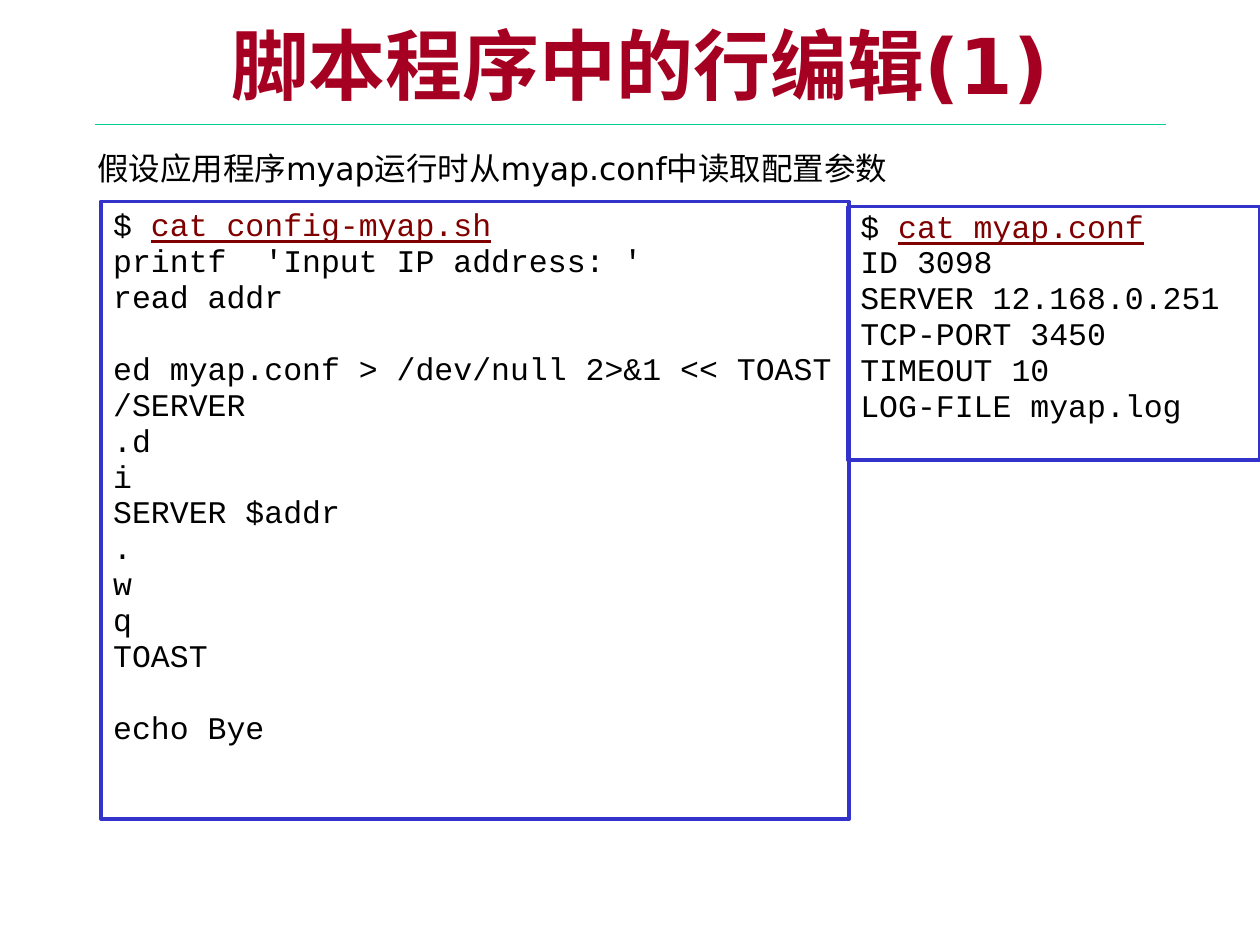
from lxml.etree import SubElement
from pptx import Presentation
from pptx.dml.color import RGBColor
from pptx.enum.shapes import MSO_CONNECTOR as CONN, MSO_SHAPE as SHAPE
from pptx.enum.text import MSO_ANCHOR as ANCHOR, PP_ALIGN as ALIGN
from pptx.oxml.ns import qn
from pptx.util import Inches, Pt

CJK = "Noto Sans CJK SC"
CODE = {"name": "Courier New", "size": Pt(18)}
BODY = {"name": "DejaVu Sans", "size": Pt(18)}
TITLE = {"name": "DejaVu Sans", "size": Pt(44), "bold": True}
BLANK_LINE = Pt(20.6)

SCRIPT_GROUPS = [
    ["printf  'Input IP address: '", "read addr"],
    ["ed myap.conf > /dev/null 2>&1 << TOAST", "/SERVER", ".d", "i",
     "SERVER $addr", ".", "w", "q", "TOAST"],
    ["echo Bye"],
]
CONF_GROUPS = [
    ["ID 3098", "SERVER 12.168.0.251", "TCP-PORT 3450", "TIMEOUT 10",
     "LOG-FILE myap.log"],
]


def paint(color, value):
    color.rgb = RGBColor.from_string(value)


def add_run(p, text, fmt, color="000000"):
    r = p.add_run()
    r.text = text
    for key, value in fmt.items():
        setattr(r.font, key, value)
    paint(r.font.color, color)
    SubElement(r._r.get_or_add_rPr(), qn("a:ea")).set("typeface", CJK)


def format_paragraph(p, hang=0, **fmt):
    for key, value in fmt.items():
        setattr(p, key, value)
    if hang:
        pPr = p._p.get_or_add_pPr()
        pPr.set("marL", str(Inches(hang)))
        pPr.set("indent", str(-Inches(hang)))


def frame_of(sp, anchor=ANCHOR.TOP, x_inset=0.1, y_inset=0.05):
    tf = sp.text_frame
    insets = {"margin_left": x_inset, "margin_right": x_inset,
              "margin_top": y_inset, "margin_bottom": y_inset}
    for key, value in insets.items():
        setattr(tf, key, Inches(value))
    tf.word_wrap = True
    tf.vertical_anchor = anchor
    return tf


def add_title(slide, box, text):
    tf = frame_of(slide.shapes.add_textbox(*map(Inches, box)), ANCHOR.MIDDLE)
    p = tf.paragraphs[0]
    format_paragraph(p, alignment=ALIGN.CENTER, line_spacing=0.85)
    add_run(p, text, TITLE, "A50021")


def add_rule(slide, left, right, y):
    line = slide.shapes.add_connector(
        CONN.STRAIGHT, *map(Inches, (left, y, right, y)))
    paint(line.line.color, "00CC99")
    line.line.width = Pt(0.75)
    SubElement(line._element.spPr, qn("a:effectLst"))


def add_intro(slide, box, parts):
    tf = frame_of(slide.shapes.add_textbox(*map(Inches, box)),
                  x_inset=0.07, y_inset=0.04)
    p = tf.paragraphs[0]
    format_paragraph(p, 0.38, line_spacing=0.85, space_before=Pt(3.6))
    for text, font in parts:
        add_run(p, text, {**BODY, "name": font})


def add_listing(slide, box, command, groups, first_spacing=0.95):
    sp = slide.shapes.add_shape(SHAPE.RECTANGLE, *map(Inches, box))
    sp.shadow.inherit = False
    sp.fill.background()
    paint(sp.line.color, "3333CC")
    sp.line.width = Pt(2)
    tf = frame_of(sp)
    p = tf.paragraphs[0]
    format_paragraph(p, 0.28, alignment=ALIGN.LEFT, line_spacing=first_spacing)
    add_run(p, "$ ", CODE)
    add_run(p, command, {**CODE, "underline": True}, "800000")
    for g, lines in enumerate(groups):
        for i, text in enumerate(lines):
            p = tf.add_paragraph()
            gap = BLANK_LINE if g and i == 0 else Pt(0)
            format_paragraph(p, 0.28, alignment=ALIGN.LEFT,
                             line_spacing=0.95, space_before=gap)
            add_run(p, text, CODE)


def build():
    prs = Presentation()
    prs.slide_width, prs.slide_height = Inches(10), Inches(7.5)
    slide = prs.slides.add_slide(prs.slide_layouts[6])
    add_rule(slide, 0.75, 9.25, 0.99)
    add_intro(slide, (0.7, 1.19, 7.75, 0.41), [
        ("假设应用程序", CJK),
        ("myap运行时从myap.conf中读取", "DejaVu Sans"),
        ("配置参数", CJK),
    ])
    add_listing(slide, (6.73, 1.64, 3.27, 2.01), "cat myap.conf",
                CONF_GROUPS, 0.85)
    add_listing(slide, (0.8, 1.6, 5.94, 4.9), "cat config-myap.sh",
                SCRIPT_GROUPS)
    add_title(slide, (0.83, 0.13, 8.5, 0.87), "脚本程序中的行编辑(1)")
    prs.save("out.pptx")


build()
